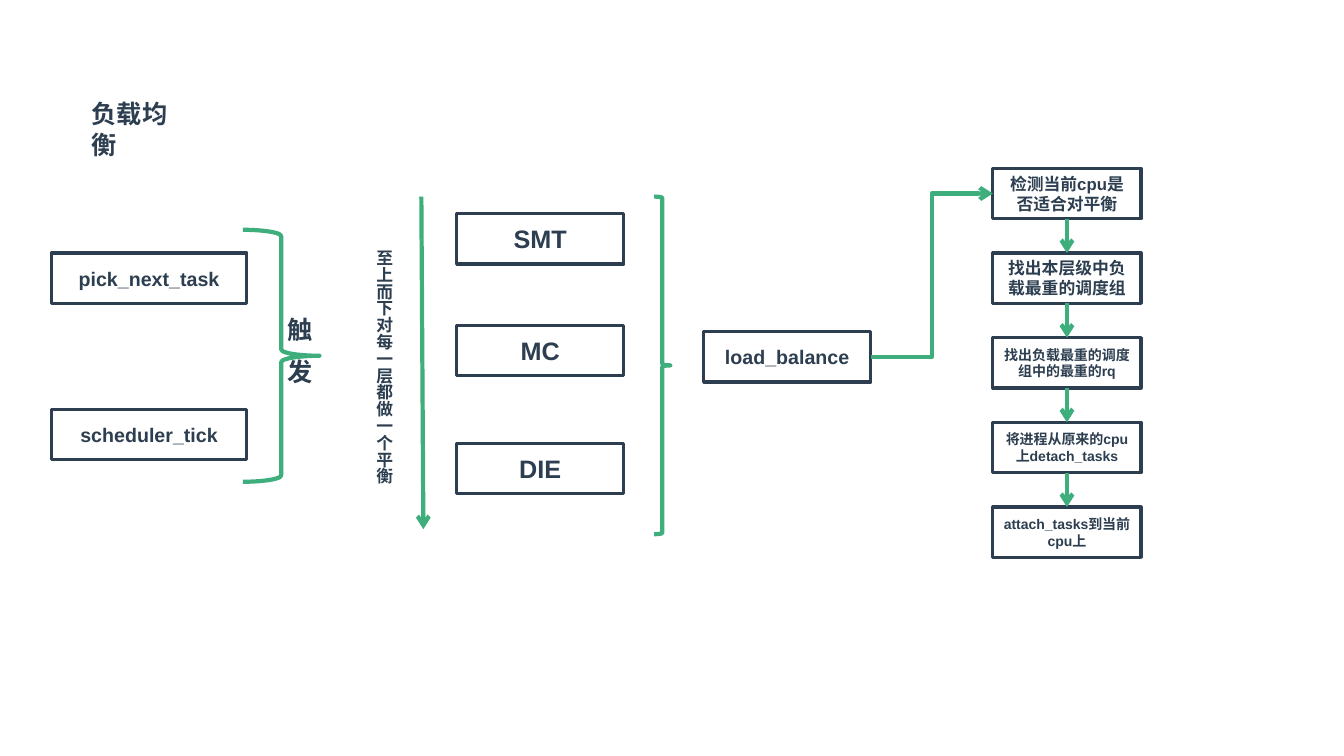
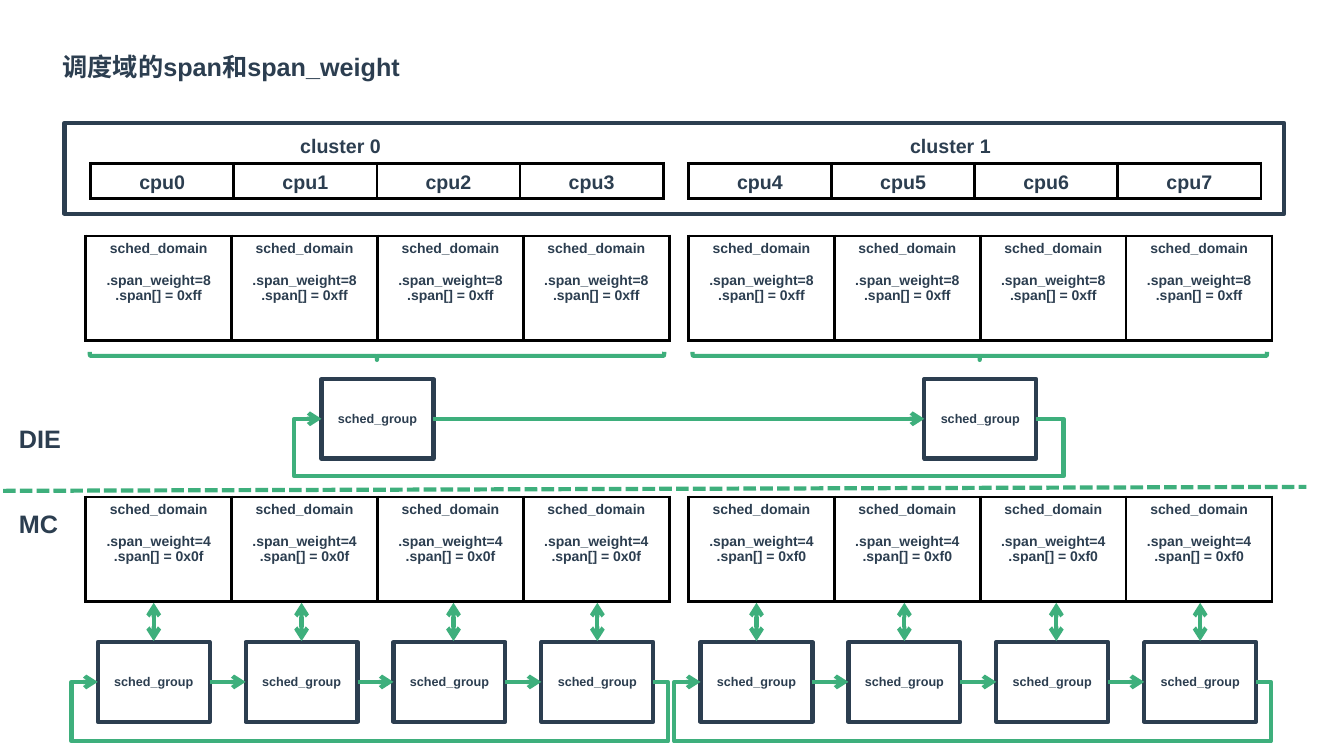
from dataclasses import dataclass

from lxml import etree
from pptx import Presentation, util as u
from pptx.dml import color as dml_color
from pptx.enum import dml, shapes, text
from pptx.oxml import ns

COLUMNS, ROWS = 133.33, 75
INK, GREEN, BLACK = "2C3E50", "3EAF7C", "000000"
FONT = "Arial"
LEFT, CENTER = text.PP_ALIGN.LEFT, text.PP_ALIGN.CENTER
TOP, MIDDLE, BOTTOM = text.MSO_ANCHOR.TOP, text.MSO_ANCHOR.MIDDLE, text.MSO_ANCHOR.BOTTOM
SITE_TOP, SITE_LEFT, SITE_BOTTOM, SITE_RIGHT = range(4)
HALF_STEP = 59.8


def grid(units):
    return u.Inches(units / 10)


def rgb(value):
    return dml_color.RGBColor.from_string(value)


@dataclass
class Box:
    left: float
    top: float
    width: float
    height: float

    def inner(self, x, y, width, height):
        return Box(self.left + x, self.top + y, width, height)

    def point(self, x, y):
        return self.left + x, self.top + y

    def emu(self):
        return [grid(value) for value in (self.left, self.top, self.width, self.height)]


def write(frame, lines, size, align=CENTER, anchor=MIDDLE, wrap=True):
    frame.word_wrap = wrap
    frame.vertical_anchor = anchor
    fill_paragraphs(frame, lines, size, align)


def fill_paragraphs(frame, lines, size, align):
    for index, line in enumerate(lines):
        paragraph = frame.add_paragraph() if index else frame.paragraphs[0]
        paragraph.alignment = align
        run = paragraph.add_run()
        run.text = line
        run.font.name = FONT
        run.font.size = u.Pt(size)
        run.font.bold = True
        run.font.color.rgb = rgb(INK)


def add_title(slide, box, words):
    title = slide.shapes.title
    title.left, title.top, title.width, title.height = box.emu()
    title.text_frame.auto_size = text.MSO_AUTO_SIZE.NONE
    write(title.text_frame, [words], 18, LEFT, TOP, wrap=False)


def add_label(slide, box, words, size, vertical=False, wrap=True):
    label = slide.shapes.add_textbox(*box.emu())
    write(label.text_frame, [words], size, LEFT, TOP, wrap)
    if vertical:
        label.element.find(".//" + ns.qn("a:bodyPr")).set("vert", "eaVert")
    return label


def style_outline(shape, line_color, weight):
    shape.shadow.inherit = False
    shape.fill.background()
    shape.line.color.rgb = rgb(line_color)
    shape.line.width = u.Pt(weight)


def add_node(slide, box, words, size, weight=2.25):
    node = slide.shapes.add_shape(shapes.MSO_SHAPE.RECTANGLE, *box.emu())
    style_outline(node, INK, weight)
    if words:
        write(node.text_frame, [words], size)
    return node


def add_brace(slide, box, kind, rotation=0):
    brace = slide.shapes.add_shape(kind, *box.emu())
    style_outline(brace, GREEN, 3)
    brace.rotation = rotation


def add_arrowheads(shape, ends):
    outline = shape.element.spPr.get_or_add_ln()
    for end in ends:
        etree.SubElement(outline, ns.qn("a:" + end), type="arrow")


def style_connector(connector, ends, dash=None):
    connector.line.color.rgb = rgb(GREEN)
    connector.line.width = u.Pt(3)
    if dash:
        connector.line.dash_style = dash
    add_arrowheads(connector, ends)
    etree.SubElement(connector.element.spPr, ns.qn("a:effectLst"))


def add_line(slide, start, end, ends=("tailEnd",), dash=None):
    points = [grid(value) for value in (*start, *end)]
    connector = slide.shapes.add_connector(shapes.MSO_CONNECTOR.STRAIGHT, *points)
    style_connector(connector, ends, dash)


def link(slide, source, source_site, target, target_site, kind=shapes.MSO_CONNECTOR.STRAIGHT):
    connector = slide.shapes.add_connector(kind, 0, 0, 0, 0)
    connector.begin_connect(source, source_site)
    connector.end_connect(target, target_site)
    style_connector(connector, ("tailEnd",))


def add_return_loop(slide, last, first, right_reach, left_reach, drop):
    middle = last.top + last.height // 2
    start = last.left + last.width
    right, left = start + grid(right_reach), first.left - grid(left_reach)
    bottom = middle + grid(drop)
    builder = slide.shapes.build_freeform(start, middle)
    builder.add_line_segments(
        [(right, middle), (right, bottom), (left, bottom), (left, middle), (first.left, middle)],
        close=False,
    )
    loop = builder.convert_to_shape()
    style_outline(loop, GREEN, 3)
    add_arrowheads(loop, ("tailEnd",))


def add_cell_borders(cell):
    properties = cell._tc.get_or_add_tcPr()
    for index, side in enumerate(("lnL", "lnR", "lnT", "lnB")):
        border = etree.Element(ns.qn("a:" + side), w=str(u.Pt(2.25)))
        fill = etree.SubElement(border, ns.qn("a:solidFill"))
        etree.SubElement(fill, ns.qn("a:srgbClr"), val=BLACK)
        properties.insert(index, border)


def add_cell_row(slide, box, cells, size, anchor, gap_before=None):
    table = slide.shapes.add_table(1, len(cells), *box.emu()).table
    table.first_row = table.horz_banding = False
    for cell, lines in zip(table.rows[0].cells, cells):
        cell.fill.background()
        add_cell_borders(cell)
        cell.vertical_anchor = anchor
        fill_paragraphs(cell.text_frame, lines, size, CENTER)
        if gap_before:
            cell.text_frame.paragraphs[1].space_before = u.Pt(gap_before)


def draw_triggers(slide, box):
    for y, name in ((2.3, "pick_next_task"), (17.8, "scheduler_tick")):
        add_node(slide, box.inner(0, y, 19.4, 5), name, 14)
    add_brace(slide, box.inner(19, 0, 7.6, box.height), shapes.MSO_SHAPE.RIGHT_BRACE)
    label = add_label(slide, box.inner(21.6, 7.7, 5, 14), "触发", 18, vertical=True)
    label.element.find(".//" + ns.qn("a:rPr")).set("spc", "1200")


def draw_levels(slide, box):
    add_label(slide, box.inner(0, 4.3, 4, 24.4), "至上而下对每一层都做一个平衡", 12, vertical=True, wrap=False)
    add_line(slide, box.point(6.2, 0), box.point(6.4, 33))
    for y, name in ((1.7, "SMT"), (12.8, "MC"), (24.5, "DIE")):
        add_node(slide, box.inner(9.7, y, 16.6, 5), name, 18)
    add_brace(slide, box.inner(29.3, 0, 1.6, box.height), shapes.MSO_SHAPE.RIGHT_BRACE)


def draw_balance_steps(slide, box):
    balance = add_node(slide, box.inner(0, 16.2, 16.6, 5), "load_balance", 14)
    steps = (
        ("检测当前cpu是否适合对平衡", 12),
        ("找出本层级中负载最重的调度组", 12),
        ("找出负载最重的调度组中的最重的rq", 10),
        ("将进程从原来的cpu上detach_tasks", 10),
        ("attach_tasks到当前cpu上", 10),
    )
    nodes = [
        add_node(slide, box.inner(28.7, 8.4 * index, 14.7, 5), words, size)
        for index, (words, size) in enumerate(steps)
    ]
    link(slide, balance, SITE_RIGHT, nodes[0], SITE_LEFT, shapes.MSO_CONNECTOR.ELBOW)
    for upper, lower in zip(nodes, nodes[1:]):
        link(slide, upper, SITE_BOTTOM, lower, SITE_TOP)


def draw_clusters(slide, box):
    add_node(slide, box, None, 14, 3)
    for half in range(2):
        names = [[f"cpu{4 * half + index}"] for index in range(4)]
        add_cell_row(slide, box.inner(2.6 + 59.3 * half, 4, 56.8, 3.5), names, 14, BOTTOM)
        add_label(slide, box.inner(22.4 + 60.5 * half, 0.6, 16, 3.4), f"cluster {half}", 14)


def draw_domains(slide, box, weight, span):
    lines = ["sched_domain", f".span_weight={weight}", f".span[] = {span}"]
    add_cell_row(slide, box.inner(0, 0, 57.9, 10.4), [lines] * 4, 10, TOP, 11.5)


def add_group(slide, box, x, y):
    return add_node(slide, box.inner(x, y, 11.1, 7.9), "sched_group", 9, 3)


def draw_die_level(slide, box):
    groups = []
    for half in range(2):
        side = box.inner(HALF_STEP * half, 0, 57.9, box.height)
        draw_domains(slide, side, 8, "0xff")
        add_brace(slide, side.inner(28.5, -16.6, 0.8, 57), shapes.MSO_SHAPE.LEFT_BRACE, 270)
        groups.append(add_group(slide, side, 23.4, 14.2))
    link(slide, groups[0], SITE_RIGHT, groups[1], SITE_LEFT)
    add_return_loop(slide, groups[1], groups[0], 2.7, 2.7, 5.7)


def draw_mc_half(slide, box, span):
    draw_domains(slide, box, 4, span)
    groups = []
    for index, shift in enumerate((0, 0, 0.4, 0)):
        x = 1.2 + 14.67 * index
        groups.append(add_group(slide, box, x, 14.4))
        middle = x + 5.55 + shift
        add_line(slide, box.point(middle, 10.5), box.point(middle, 14.3), ("headEnd", "tailEnd"))
    for before, after in zip(groups, groups[1:]):
        link(slide, before, SITE_RIGHT, after, SITE_LEFT)
    add_return_loop(slide, groups[-1], groups[0], 1.45, 2.6, 5.9)


def draw_mc_level(slide, box):
    for half, span in enumerate(("0x0f", "0xf0")):
        draw_mc_half(slide, box.inner(HALF_STEP * half, 0, 57.9, box.height), span)


def build_load_balancing(slide):
    add_title(slide, Box(8.1, 9.3, 12, 4), "负载均衡")
    draw_triggers(slide, Box(5.1, 22.8, 26.6, 25))
    draw_levels(slide, Box(35.6, 19.5, 30.9, 33.5))
    draw_balance_steps(slide, Box(69.8, 16.7, 43.4, 38.6))


def build_domain_spans(slide):
    add_title(slide, Box(5.2, 4.6, 38.9, 4), "调度域的span和span_weight")
    draw_clusters(slide, Box(6.4, 12.2, 121, 9))
    add_line(slide, (0.3, 48.7), (129.6, 48.3), (), dml.MSO_LINE.SQUARE_DOT)
    draw_die_level(slide, Box(8.5, 23.4, 117.7, 23.8))
    draw_mc_level(slide, Box(8.5, 49.3, 117.7, 24.3))
    for y, name in ((41.5, "DIE"), (49.9, "MC")):
        add_label(slide, Box(0.9, y, 6.7, 4), name, 18, wrap=False)


def main():
    presentation = Presentation()
    presentation.slide_width, presentation.slide_height = grid(COLUMNS), grid(ROWS)
    for build in (build_load_balancing, build_domain_spans):
        build(presentation.slides.add_slide(presentation.slide_layouts[5]))
    presentation.save("out.pptx")


if __name__ == "__main__":
    main()
